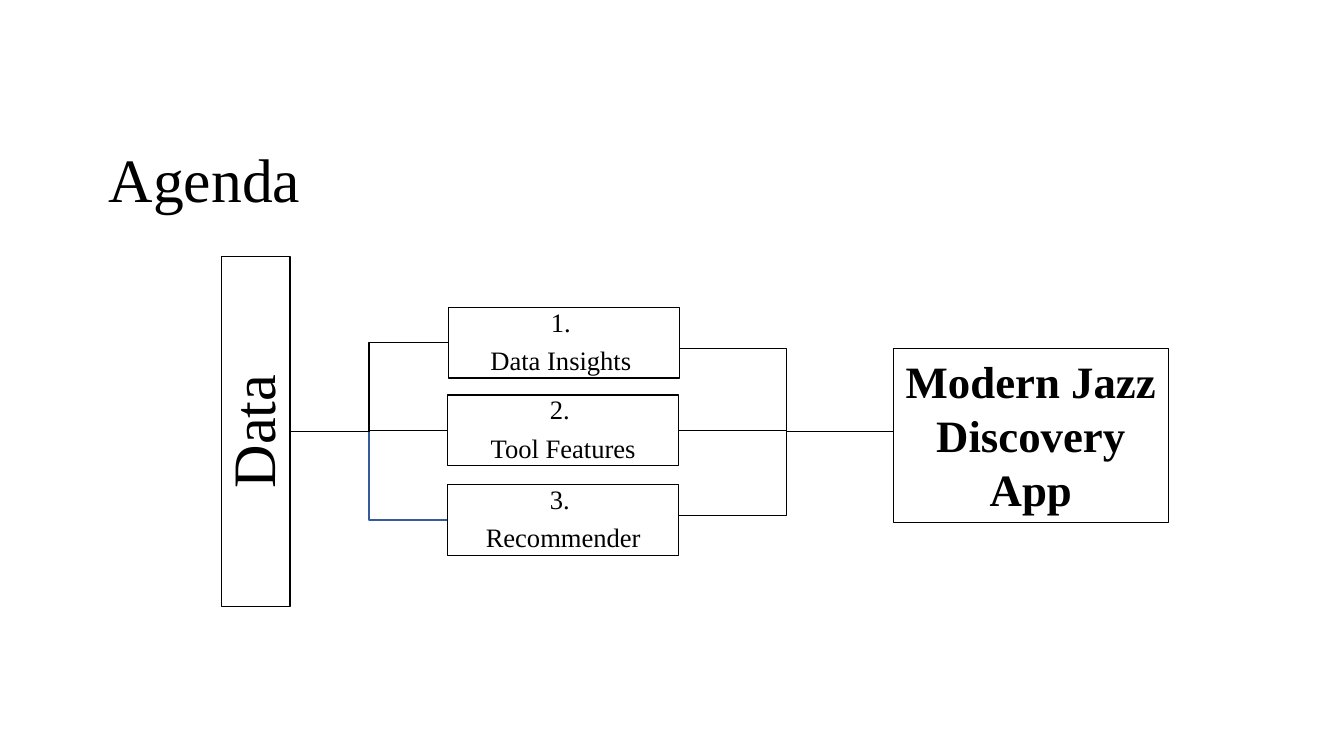
from pptx import Presentation
from pptx.dml.color import RGBColor
from pptx.enum.shapes import MSO_CONNECTOR, MSO_SHAPE
from pptx.enum.text import MSO_ANCHOR, PP_ALIGN
from pptx.oxml.xmlchemy import OxmlElement
from pptx.util import Emu, Pt

PX = 9144  # 100 px to the inch
BLACK = RGBColor(0x00, 0x00, 0x00)
BLUE = RGBColor(0x36, 0x5B, 0x9D)
FONT = "Times New Roman"
STEPS = [
    (445, 305, ["1. ", "Data Insights "]),
    (444, 392, ["2. ", "Tool Features"]),
    (444, 481, ["3. ", "Recommender"]),
]


def px(*nums):
    return [Emu(n * PX) for n in nums]


def write(shape, *lines, size, bold=False, align=PP_ALIGN.CENTER,
          anchor=MSO_ANCHOR.MIDDLE, inset=10, lead=None, after=0):
    frame = shape.text_frame
    frame.word_wrap = True
    frame.vertical_anchor = anchor
    frame.margin_left = frame.margin_right = Emu(inset * PX)
    frame.margin_top = frame.margin_bottom = Emu(min(inset, 5) * PX)
    for i, line in enumerate(lines):
        para = frame.add_paragraph() if i else frame.paragraphs[0]
        para.alignment = align
        para.line_spacing = lead
        para.space_after = Pt(after)
        run = para.add_run()
        run.text = line
        run.font.name = FONT
        run.font.size = Pt(size)
        run.font.bold = bold
        run.font.color.rgb = BLACK


def outline(shape, color=BLACK, width=1):
    shape.shadow.inherit = False
    shape.fill.background()
    shape.line.color.rgb = color
    shape.line.width = Pt(width)


def box(slide, x, y, wide, high, width=1, turn=0):
    shape = slide.shapes.add_shape(MSO_SHAPE.RECTANGLE, *px(x, y, wide, high))
    outline(shape, width=width)
    shape.rotation = turn
    return shape


def branch(slide, x, y, color):
    """Draw a stepped line from the Data box to a step."""
    form = slide.shapes.build_freeform(288, 428, scale=PX)
    form.add_line_segments([(366, 428), (366, y), (x, y)], close=False)
    outline(form.convert_to_shape(), color)


def link(slide, kind, *ends):
    line = slide.shapes.add_connector(kind, *px(*ends))
    line.line.color.rgb = BLACK
    line.line.width = Pt(0.5)
    line._element.spPr.append(OxmlElement("a:effectLst"))
    return line


def main():
    deck = Presentation()
    deck.slide_width, deck.slide_height = px(1333, 750)
    slide = deck.slides.add_slide(deck.slide_layouts[6])

    # Title
    title = slide.shapes.add_textbox(*px(98, 109, 1150, 145))
    write(title, "Agenda", size=44, align=PP_ALIGN.LEFT, lead=0.9)

    # Branches from the data, lowest first
    for y, color in [(516, BLUE), (427, BLACK), (340, BLACK)]:
        branch(slide, 444, y, color)

    # Data source, turned to read upwards
    data = box(slide, 80, 394, 347, 68, turn=270)
    write(data, "Data", size=43, inset=3, lead=0.9, after=15)

    # Steps
    cards = []
    for x, y, lines in STEPS:
        card = box(slide, x, y, 229, 70)
        write(card, *lines, size=19, inset=1, lead=0.9, after=6.65)
        cards.append(card)

    # Result
    app = box(slide, 886, 346, 273, 172, width=0.75)
    write(app, "Modern Jazz Discovery App", size=32, bold=True,
          anchor=MSO_ANCHOR.TOP)

    # Links from the steps to the result
    link(slide, MSO_CONNECTOR.ELBOW, 674, 346, 886, 428)
    link(slide, MSO_CONNECTOR.ELBOW, 673, 511, 886, 428)
    mid = link(slide, MSO_CONNECTOR.STRAIGHT, 673, 428, 780, 428)
    mid.begin_connect(cards[1], 3)
    mid.end_y = mid.begin_y

    deck.save("out.pptx")


if __name__ == "__main__":
    main()
